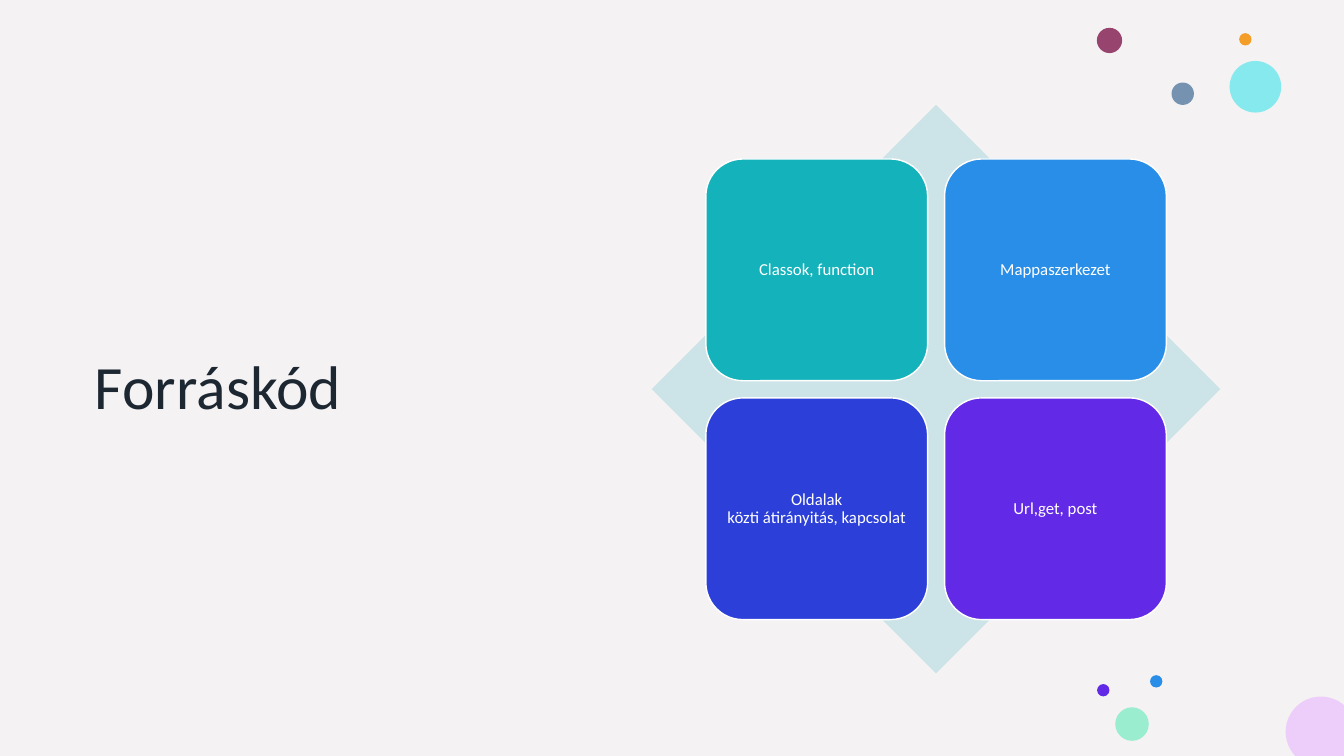
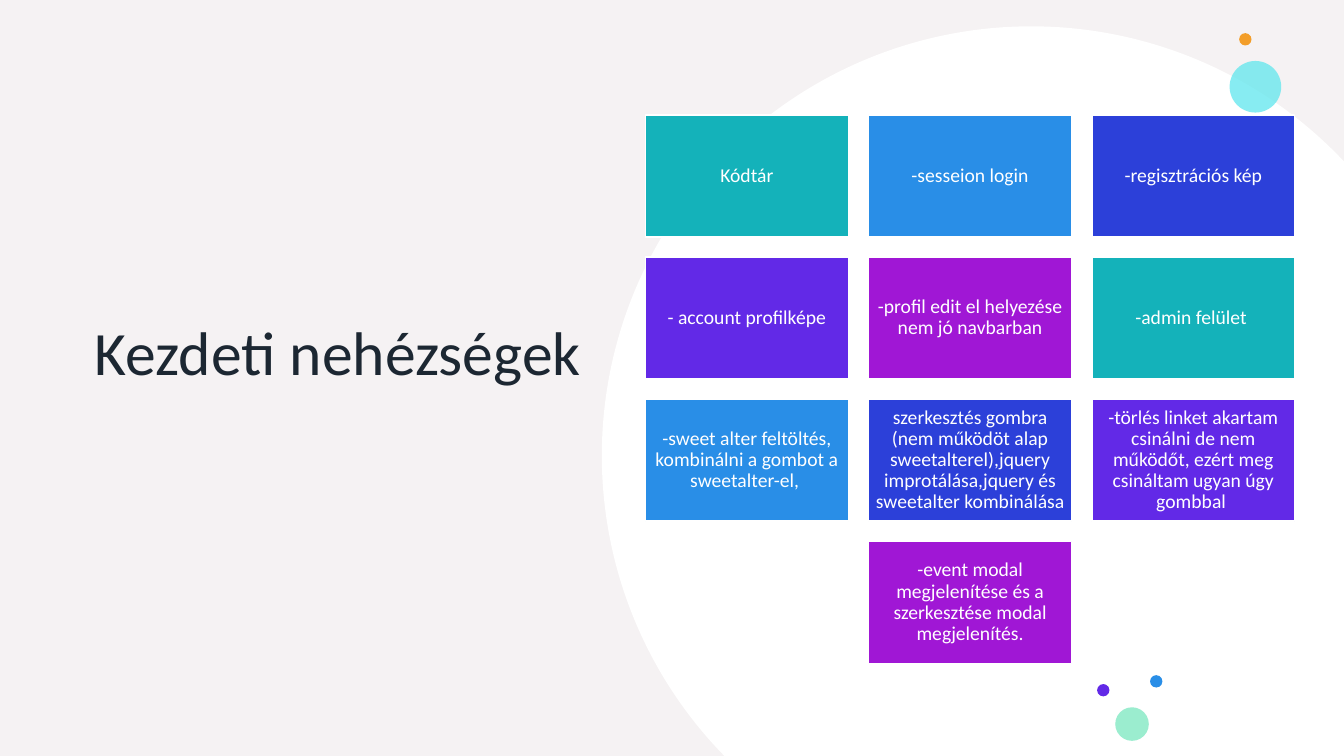
from math import acos, asin, cos, degrees, pi, sin

from lxml import etree
from pptx import Presentation
from pptx.dml.color import RGBColor
from pptx.enum.shapes import MSO_SHAPE
from pptx.enum.text import MSO_ANCHOR, PP_ALIGN
from pptx.oxml.ns import qn
from pptx.util import Inches, Pt

WIDE, HIGH = Inches(13.33), Inches(7.5)
RECT, ROUND = MSO_SHAPE.RECTANGLE, MSO_SHAPE.ROUNDED_RECTANGLE
OVAL, DIAMOND = MSO_SHAPE.OVAL, MSO_SHAPE.DIAMOND
MIDDLE, CENTER, LEFT = MSO_ANCHOR.MIDDLE, PP_ALIGN.CENTER, PP_ALIGN.LEFT

TINT = RGBColor(0xDE, 0xD5, 0xD8)
WHITE = RGBColor(0xFF, 0xFF, 0xFF)
INK = RGBColor(0x1C, 0x27, 0x32)
TEAL = RGBColor(0x14, 0xB2, 0xBA)
BLUE = RGBColor(0x29, 0x8E, 0xE7)
NAVY = RGBColor(0x2C, 0x40, 0xD9)
VIOLET = RGBColor(0x62, 0x29, 0xE7)
PURPLE = RGBColor(0xA0, 0x17, 0xD5)
WINE = RGBColor(0x97, 0x44, 0x6E)
SLATE = RGBColor(0x75, 0x93, 0xB1)
CYAN = RGBColor(0x5A, 0xE6, 0xED)
ORANGE = RGBColor(0xF3, 0x9E, 0x29)
MINT = RGBColor(0x9B, 0xED, 0xCF)
PINK = RGBColor(0xED, 0xCE, 0xFA)
PALE = RGBColor(0xCC, 0xE4, 0xE7)
CYCLE = [TEAL, BLUE, NAVY, VIOLET, PURPLE]

FONT = "Calibri"
MARGINS = ["margin_left", "margin_right", "margin_top", "margin_bottom"]
HARD = chr(160)  # space that does not break

# Dots: centre x, centre y, diameter (percent), colour, opacity
SHARED_DOTS = [
    (93.41, 11.48, 3.84, CYAN, 72),
    (92.66, 5.2, 0.92, ORANGE, 100),
    (86.03, 90.13, 0.92, BLUE, 100),
    (84.23, 95.78, 2.5, MINT, 100),
    (82.09, 91.3, 0.92, VIOLET, 100),
]
EXTRA_DOTS = [
    (82.55, 5.35, 1.88, WINE, 100),
    (88, 12.4, 1.67, SLATE, 100),
]

# Tile grids: origin, pitch and size in percent of the slide
QUAD = {"cols": 2, "start": (52.52, 21.03), "pitch": (17.76, 31.6),
        "size": (16.5, 29.33), "kind": ROUND, "points": 12, "inset": 0.05}
WALL = {"cols": 3, "start": (48.02, 15.2), "pitch": (16.61, 18.8),
        "size": (15.1, 16.13), "kind": RECT, "points": 14, "inset": 0.06}

TOPICS = [
    f"Classok,{HARD}function",
    "Mappaszerkezet",
    f"Oldalak közti{HARD}átirányitás,{HARD}kapcsolat",
    "Url,get, post",
]
ISSUES = [
    "Kódtár",
    "-sesseion login",
    "-regisztrációs kép",
    "- account profilképe",
    "-profil edit el helyezése nem jó navbarban",
    f"-admin felület{HARD}",
    f"-sweet alter feltöltés, kombinálni a gombot a sweetalter-el,{HARD}",
    "szerkesztés gombra (nem működöt alap sweetalterel),jquery "
    "improtálása,jquery és sweetalter kombinálása",
    "-törlés linket akartam csinálni de nem működőt, ezért meg "
    f"csináltam ugyan úgy gombbal{HARD}",
    "-event modal megjelenítése és a "
    f"szerkesztése{HARD}modal megjelenítés.",
]


def across(share):
    return round(WIDE * share / 100)


def down(share):
    return round(HIGH * share / 100)


def frame(left, top, width, height):
    """Turn percentages of the slide into a box in EMU."""
    return across(left), down(top), across(width), down(height)


def style(item, values):
    for name, value in values.items():
        setattr(item, name, value)


def paint(shape, fill, line=None, alpha=100):
    shape.shadow.inherit = False
    shape.fill.solid()
    shape.fill.fore_color.rgb = fill
    if alpha < 100:
        color = shape.fill._xPr.find(qn("a:solidFill"))[0]
        etree.SubElement(color, qn("a:alpha"), val=str(alpha * 1000))
    if line is None:
        shape.line.fill.background()
    else:
        shape.line.color.rgb = line
        shape.line.width = Pt(1)


def write(shape, text, points, color, align, inset=None):
    body = shape.text_frame
    style(body, {"word_wrap": True, "vertical_anchor": MIDDLE})
    if inset is not None:
        style(body, dict.fromkeys(MARGINS, Inches(inset)))
    para = body.paragraphs[0]
    para.text = text
    style(para, {"alignment": align, "line_spacing": 0.9})
    style(para.font, {"name": FONT, "size": Pt(points)})
    para.font.color.rgb = color


def dots(slide, specs):
    for x, y, size, color, alpha in specs:
        side = across(size)
        dot = slide.shapes.add_shape(
            OVAL, across(x) - side // 2, down(y) - side // 2, side, side)
        paint(dot, color, alpha=alpha)


def disc(slide, x, y, size, color):
    """Draw a circle that stops at the slide's right and bottom edges."""
    mid, level, radius = across(x), down(y), across(size) / 2
    turns = [-acos((WIDE - mid) / radius), -pi / 2, -pi,
             -pi - asin((HIGH - level) / radius)]
    points = [(round(mid + radius * cos(turn)),
               round(level + radius * sin(turn))) for turn in turns]
    pen = slide.shapes.build_freeform(*points[0], scale=1.0)
    pen.add_line_segments(points[1:] + [(WIDE, HIGH)], close=True)
    shape = pen.convert_to_shape()
    sides = list(shape.element.iter(qn("a:lnTo")))
    for side, first, last in zip(sides, turns, turns[1:]):
        arc = etree.Element(qn("a:arcTo"))
        values = {"wR": radius, "hR": radius,
                  "stAng": degrees(first) % 360 * 60000,
                  "swAng": degrees(last - first) * 60000}
        for name, value in values.items():
            arc.set(name, str(round(value)))
        side.getparent().replace(side, arc)
    paint(shape, color)


def tiles(slide, texts, grid):
    """Fill the grid row by row; a short last row is centred."""
    cols = grid["cols"]
    for index, text in enumerate(texts):
        row, col = divmod(index, cols)
        count = min(cols, len(texts) - row * cols)
        col += (cols - count) / 2
        left = grid["start"][0] + col * grid["pitch"][0]
        top = grid["start"][1] + row * grid["pitch"][1]
        tile = slide.shapes.add_shape(
            grid["kind"], *frame(left, top, *grid["size"]))
        paint(tile, CYCLE[index % len(CYCLE)], WHITE)
        write(tile, text, grid["points"], WHITE, CENTER, grid["inset"])


def start(deck, title, height):
    """Add a slide with the shared tint and title."""
    slide = deck.slides.add_slide(deck.slide_layouts[6])
    tint = slide.shapes.add_shape(RECT, 0, 0, WIDE, HIGH)
    paint(tint, TINT, alpha=30)
    box = slide.shapes.add_textbox(*frame(6.33, 13.87, 37.8, height))
    write(box, title, 44, INK, LEFT)
    return slide


def source(deck):
    slide = start(deck, "Forráskód", 75.2)
    dots(slide, SHARED_DOTS + EXTRA_DOTS)
    disc(slide, 98.28, 96.8, 5.25, PINK)
    back = slide.shapes.add_shape(DIAMOND, *frame(48.5, 13.87, 42.3, 75.2))
    paint(back, PALE)
    tiles(slide, TOPICS, QUAD)


def hurdles(deck):
    slide = start(deck, "Kezdeti nehézségek", 66.3)
    disc(slide, 76.73, 60.27, 63.9, WHITE)
    dots(slide, SHARED_DOTS)
    tiles(slide, ISSUES, WALL)


def main():
    deck = Presentation()
    style(deck, {"slide_width": WIDE, "slide_height": HIGH})
    source(deck)
    hurdles(deck)
    deck.save("out.pptx")


if __name__ == "__main__":
    main()
